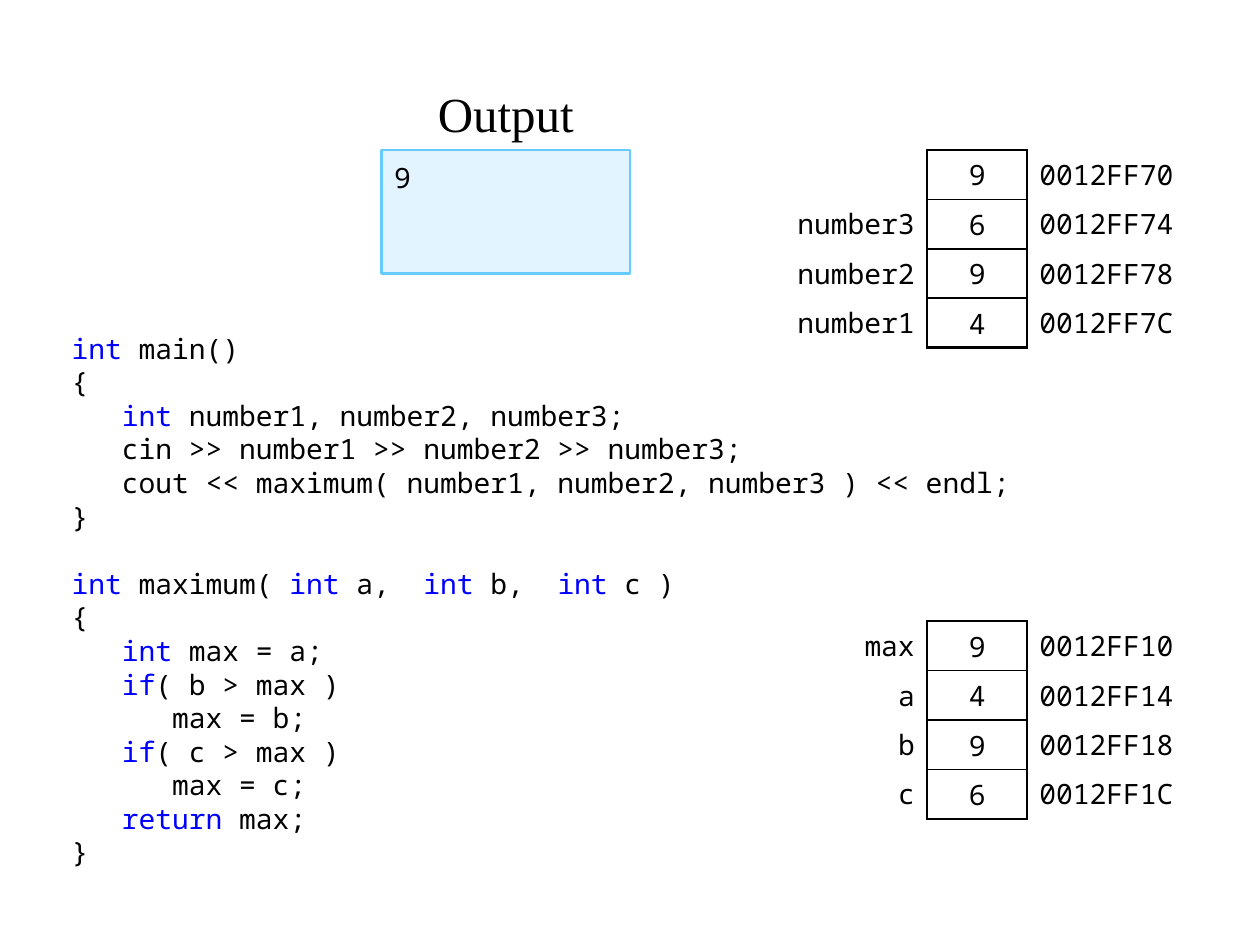
from lxml import etree
from pptx import Presentation
from pptx.dml.color import RGBColor
from pptx.enum.shapes import MSO_SHAPE
from pptx.enum.text import MSO_ANCHOR, PP_ALIGN
from pptx.oxml.ns import qn
from pptx.util import Inches, Pt

RECT = MSO_SHAPE.RECTANGLE
TOP, MIDDLE = MSO_ANCHOR.TOP, MSO_ANCHOR.MIDDLE
LEFT, CENTER, RIGHT = PP_ALIGN.LEFT, PP_ALIGN.CENTER, PP_ALIGN.RIGHT
BLACK = RGBColor(0, 0, 0)
BLUE = RGBColor(0, 0, 0xFF)
PALE = RGBColor(0xE1, 0xF4, 0xFF)
SKY = RGBColor(0x66, 0xCC, 0xFF)
MONO = "Noto Sans Mono"
SERIF = "Times New Roman"
ROW = 1.57 / 4
CELL_X, CELL_W, ADDR_W = 7.36, 0.79, 1.38

CODE = """|int| main()
{
   |int |number1, number2, number3;
   cin >> number1 >> number2 >> number3;
   cout << maximum( number1, number2, number3 ) << endl;
}

|int| maximum( |int| a,  |int| b,  |int| c )
{
   |int| max = a;
   |if|( b > max )
      max = b;
   |if|( c > max )
      max = c;
   |return| max;
}"""

CALLER = [("", "9", "0012FF70"), ("number3", "6", "0012FF74"),
          ("number2", "9", "0012FF78"), ("number1", "4", "0012FF7C")]
CALLEE = [("max", "9", "0012FF10"), ("a", "4", "0012FF14"),
          ("b", "9", "0012FF18"), ("c", "6", "0012FF1C")]


def add_run(para, text, color=BLACK, size=16, face=MONO):
    run = para.add_run()
    run.text = text
    run.font.size = Pt(size)
    run.font.name = face
    run.font.color.rgb = color


def add_box(slide, left, top, width, height, anchor=MIDDLE, inset=0.1):
    box = slide.shapes.add_textbox(
        Inches(left), Inches(top), Inches(width), Inches(height))
    frame = box.text_frame
    frame.word_wrap = True
    frame.vertical_anchor = anchor
    frame.margin_left = frame.margin_right = Inches(inset)
    return frame


def add_label(slide, text, left, top, width, height, size=16, face=MONO, inset=0.1):
    para = add_box(slide, left, top, width, height, inset=inset).paragraphs[0]
    para.alignment = CENTER
    add_run(para, text, size=size, face=face)


def add_code(slide):
    frame = add_box(slide, 0.47, 2.58, 7.68, 4.33, TOP)
    for index, line in enumerate(CODE.split("\n")):
        para = frame.add_paragraph() if index else frame.paragraphs[0]
        para.line_spacing = Pt(19.2)
        para.font.size = Pt(16)
        for part, text in enumerate(line.split("|")):
            if text:
                add_run(para, text, BLUE if part % 2 else BLACK)


def add_output(slide):
    box = slide.shapes.add_shape(
        RECT, Inches(3.03), Inches(1.19), Inches(1.97), Inches(0.98))
    box.shadow.inherit = False
    box.fill.solid()
    box.fill.fore_color.rgb = PALE
    box.line.color.rgb = SKY
    box.line.width = Pt(1.5)
    frame = box.text_frame
    frame.vertical_anchor = TOP
    frame.margin_top = frame.margin_bottom = Inches(0.08)
    para = frame.paragraphs[0]
    para.alignment = LEFT
    add_run(para, "9")
    add_label(slide, "Output", 3.23, 0.6, 1.57, 0.59, 28, SERIF)


def set_edges(cell, widths):
    props = cell._tc.get_or_add_tcPr()
    for spot, side in enumerate("LRTB"):
        width = widths.get(side, 0)
        line = etree.Element(qn("a:ln" + side), w=str(Pt(width)))
        if width:
            fill = etree.SubElement(line, qn("a:solidFill"))
            etree.SubElement(fill, qn("a:srgbClr"), val=str(BLACK))
        else:
            etree.SubElement(line, qn("a:noFill"))
        props.insert(spot, line)


def fill_cell(cell, text, align, edges):
    cell.fill.background()
    cell.vertical_anchor = MIDDLE
    cell.margin_top = cell.margin_bottom = Inches(0.04)
    cell.margin_left = Inches(0.1 if align == LEFT else 0.06)
    cell.margin_right = Inches(0.1 if align == RIGHT else 0.08)
    para = cell.text_frame.paragraphs[0]
    para.alignment = align
    para.font.size = Pt(16)
    if text:
        add_run(para, text)
    set_edges(cell, edges)


def add_stack(slide, top, name_w, items):
    widths = [name_w, CELL_W, ADDR_W]
    count = len(items)
    table = slide.shapes.add_table(
        count, 3, Inches(CELL_X - name_w), Inches(top),
        Inches(sum(widths)), Inches(ROW * count)).table
    table.first_row = table.horz_banding = False
    for col, width in zip(table.columns, widths):
        col.width = Inches(width)
    for index, (name, value, addr) in enumerate(items):
        table.rows[index].height = Inches(ROW)
        edges = {"L": 1.5, "R": 1.5, "T": 1 if index else 1.5,
                 "B": 1 if index < count - 1 else 1.5}
        fill_cell(table.cell(index, 0), name, RIGHT, {"R": 1.5})
        fill_cell(table.cell(index, 1), "", CENTER, edges)
        fill_cell(table.cell(index, 2), addr, LEFT, {"L": 1.5})
        add_label(slide, value, CELL_X + 0.2, top + ROW * index, 0.39, ROW)


def main():
    deck = Presentation()
    deck.slide_width, deck.slide_height = Inches(10), Inches(7.5)
    slide = deck.slides.add_slide(deck.slide_layouts[6])
    add_code(slide)
    add_output(slide)
    add_stack(slide, 1.19, 1.18, CALLER)
    add_stack(slide, 4.93, 0.79, CALLEE)
    deck.save("out.pptx")


if __name__ == "__main__":
    main()
